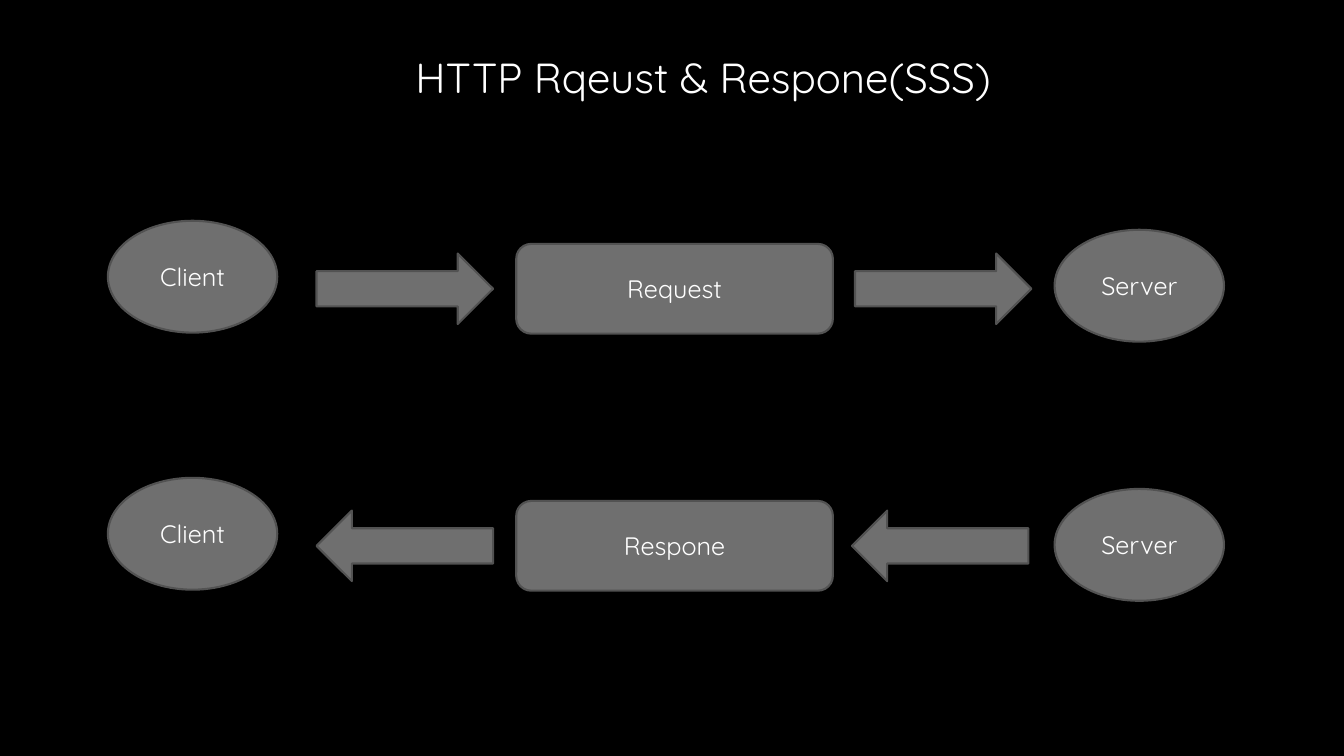
from dataclasses import dataclass

from pptx import Presentation
from pptx import util as u
from pptx.dml.color import RGBColor
from pptx.enum import shapes, text
from pptx.slide import Slide
from pptx.text.text import TextFrame

SLIDE_WIDTH, SLIDE_HEIGHT = u.Inches(13.33), u.Inches(7.5)
FONT = "Quicksand"
BLACK, WHITE, GREY, DARK_GREY = "000000", "FFFFFF", "6F6F6F", "525252"


@dataclass(frozen=True)
class Kind:
    """A preset shape and its size in percent of the slide."""
    preset: shapes.MSO_SHAPE
    width: float
    height: float


@dataclass(frozen=True)
class Step:
    """One step of a flow, with its centre in percent of the slide."""
    kind: Kind
    column: float
    row: float
    label: str = ""
    rotation: int = 0


PARTY = Kind(shapes.MSO_SHAPE.OVAL, 12.6, 14.8)
MESSAGE = Kind(shapes.MSO_SHAPE.ROUNDED_RECTANGLE, 23.56, 11.87)
ARROW = Kind(shapes.MSO_SHAPE.RIGHT_ARROW, 13.13, 9.33)


def across(percent: float) -> u.Emu:
    """Turn a share of the slide's width into a length."""
    return u.Emu(round(SLIDE_WIDTH * percent / 100))


def down(percent: float) -> u.Emu:
    """Turn a share of the slide's height into a length."""
    return u.Emu(round(SLIDE_HEIGHT * percent / 100))


def colour(value: str) -> RGBColor:
    """Turn a hex string into a colour."""
    return RGBColor.from_string(value)


def flow(message: str, row: float, server_row: float,
         server_arrow: float, rotation: int) -> list[Step]:
    """List the steps between client and server on one row."""
    return [
        Step(PARTY, 14.33, row - 1.6, "Client"),
        Step(ARROW, 30.12, row, rotation=rotation),
        Step(MESSAGE, 50.19, row, message),
        Step(ARROW, server_arrow, row, rotation=rotation),
        Step(PARTY, 84.77, server_row, "Server"),
    ]


def write(frame: TextFrame, words: str, size: int,
          alignment: text.PP_ALIGN) -> None:
    """Write one white paragraph into a text frame."""
    frame.word_wrap = True
    paragraph = frame.paragraphs[0]
    paragraph.text = words
    paragraph.alignment = alignment
    paragraph.font.name = FONT
    paragraph.font.size = u.Pt(size)
    paragraph.font.color.rgb = colour(WHITE)


def draw_step(slide: Slide, step: Step) -> None:
    """Draw one step of a flow."""
    kind = step.kind
    outline = slide.shapes.add_shape(
        kind.preset,
        across(step.column - kind.width / 2), down(step.row - kind.height / 2),
        across(kind.width), down(kind.height))
    outline.rotation = step.rotation
    outline.shadow.inherit = False
    outline.fill.solid()
    outline.fill.fore_color.rgb = colour(GREY)
    outline.line.color.rgb = colour(DARK_GREY)
    outline.line.width = u.Pt(1.5)
    if step.label:
        outline.text_frame.vertical_anchor = text.MSO_ANCHOR.MIDDLE
        write(outline.text_frame, step.label, 18, text.PP_ALIGN.CENTER)


def draw_title(slide: Slide, words: str) -> None:
    """Draw the slide's title."""
    title = slide.shapes.add_textbox(
        across(30.16), down(6.13), across(45.09), down(8.13))
    write(title.text_frame, words, 30, text.PP_ALIGN.LEFT)
    title.text_frame.auto_size = text.MSO_AUTO_SIZE.SHAPE_TO_FIT_TEXT


def main() -> None:
    """Build and save the slide."""
    deck = Presentation()
    deck.slide_width, deck.slide_height = SLIDE_WIDTH, SLIDE_HEIGHT
    slide = deck.slides.add_slide(deck.slide_layouts[6])
    slide.background.fill.solid()
    slide.background.fill.fore_color.rgb = colour(BLACK)
    draw_title(slide, "HTTP Rqeust & Respone(SSS)")
    request = flow("Request", 38.2, 37.8, 70.18, 0)
    response = flow("Respone", 72.2, 72.07, 69.95, 180)
    for step in request + response:
        draw_step(slide, step)
    deck.save("out.pptx")


if __name__ == "__main__":
    main()
